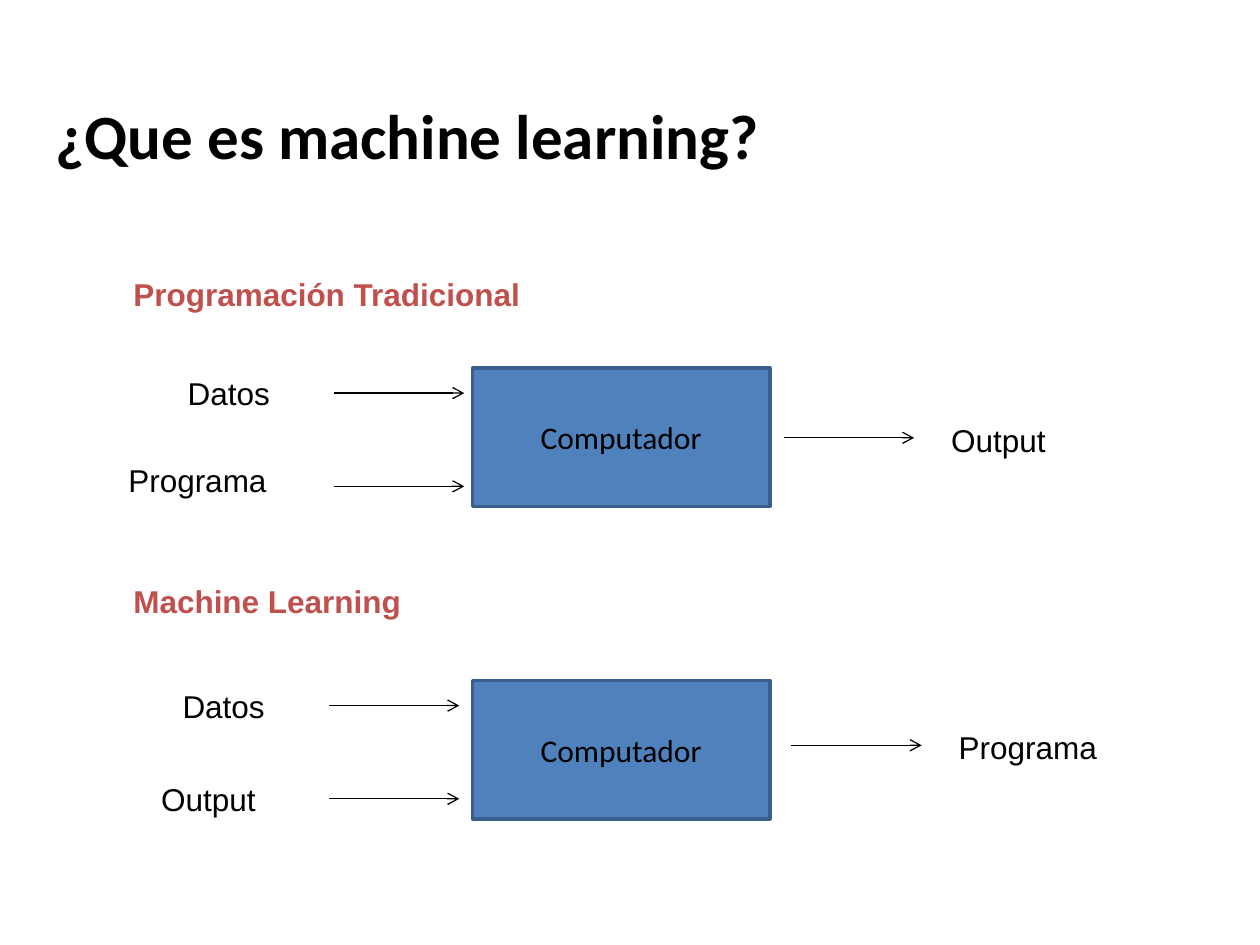
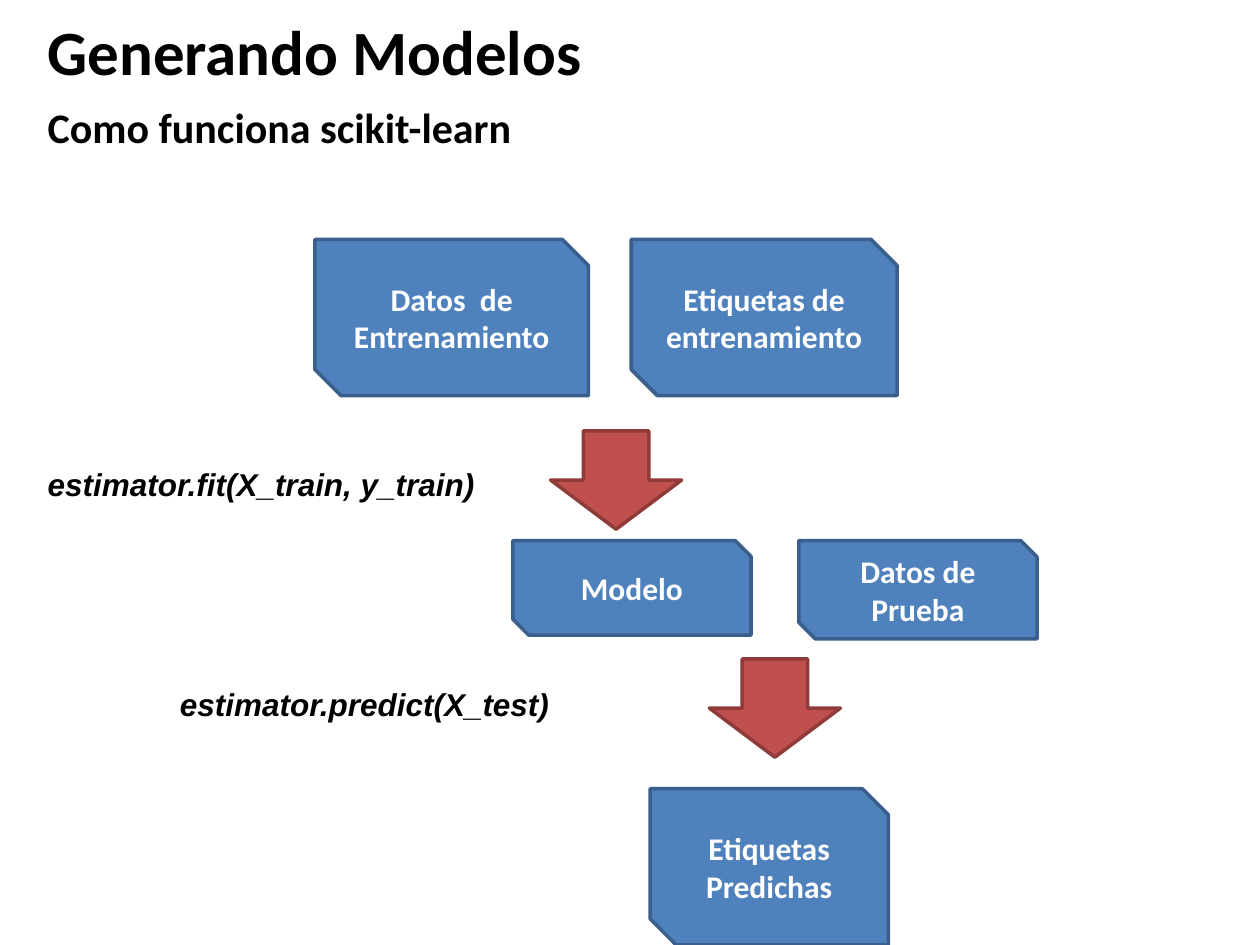
from lxml import etree
from pptx import Presentation
from pptx.dml.color import RGBColor
from pptx.enum.shapes import MSO_CONNECTOR, MSO_SHAPE
from pptx.enum.text import MSO_ANCHOR, MSO_AUTO_SIZE, PP_ALIGN
from pptx.oxml.ns import qn
from pptx.util import Inches, Pt

BLACK = RGBColor(0x00, 0x00, 0x00)
WHITE = RGBColor(0xFF, 0xFF, 0xFF)
BLUE = RGBColor(0x4F, 0x81, 0xBD)
DARK_BLUE = RGBColor(0x3A, 0x5F, 0x8C)
RED = RGBColor(0xC0, 0x50, 0x4D)
DARK_RED = RGBColor(0x8E, 0x3B, 0x39)

RECTANGLE = MSO_SHAPE.RECTANGLE
SNIPPED = MSO_SHAPE.SNIP_2_DIAG_RECTANGLE
DOWN_ARROW = MSO_SHAPE.DOWN_ARROW
STRAIGHT = MSO_CONNECTOR.STRAIGHT
CENTER = PP_ALIGN.CENTER
MIDDLE = MSO_ANCHOR.MIDDLE
GROW = MSO_AUTO_SIZE.SHAPE_TO_FIT_TEXT

COLUMNS, ROWS = 100, 75
HEADING_FONT, BODY_FONT = "Calibri", "Arial"
BODY_SIZE = 18


class Board:
    def __init__(self):
        self.deck = Presentation()
        self.deck.slide_width, self.deck.slide_height = Inches(10), Inches(7.5)
        self.page = None

    def new_page(self):
        self.page = self.deck.slides.add_slide(self.deck.slide_layouts[6])

    def place(self, column, row):
        return (round(self.deck.slide_width * column / COLUMNS),
                round(self.deck.slide_height * row / ROWS))

    def fill_text(self, frame, words, font, size, color, bold=False, italic=False):
        para = frame.paragraphs[0]
        para.text = words
        para.font.name, para.font.size = font, Pt(size)
        para.font.bold, para.font.italic = bold, italic
        para.font.color.rgb = color
        return para

    def text(self, column, row, width, words, height=4, font=BODY_FONT,
             size=BODY_SIZE, color=BLACK, wrap=True, **style):
        box = self.page.shapes.add_textbox(*self.place(column, row),
                                           *self.place(width, height))
        frame = box.text_frame
        frame.word_wrap, frame.auto_size = wrap, GROW
        self.fill_text(frame, words, font, size, color, **style)
        return box

    def title(self, column, row, width, words):
        self.text(column, row, width, words, 7.1, HEADING_FONT, 36,
                  wrap=False, bold=True)

    def subtitle(self, column, row, width, words):
        box = self.text(column, row, width, words, 5, HEADING_FONT, 24, bold=True)
        box.fill.solid()
        box.fill.fore_color.rgb = WHITE

    def shape(self, kind, column, row, width, height, fill, edge):
        shape = self.page.shapes.add_shape(kind, *self.place(column, row),
                                           *self.place(width, height))
        shape.shadow.inherit = False
        shape.fill.solid()
        shape.fill.fore_color.rgb = fill
        shape.line.color.rgb, shape.line.width = edge, Pt(2)
        return shape

    def block(self, kind, column, row, width, height, words, color, bold=False):
        shape = self.shape(kind, column, row, width, height, BLUE, DARK_BLUE)
        frame = shape.text_frame
        frame.word_wrap, frame.vertical_anchor = True, MIDDLE
        para = self.fill_text(frame, words, HEADING_FONT, BODY_SIZE, color, bold)
        para.alignment = CENTER

    def down_arrow(self, column, row):
        self.shape(DOWN_ARROW, column, row, 10.4, 7.8, RED, DARK_RED)

    def arrow(self, column, row, length=10.35):
        line = self.page.shapes.add_connector(
            STRAIGHT, *self.place(column, row), *self.place(column + length, row))
        line.line.color.rgb, line.line.width = BLACK, Pt(0.75)
        properties = line.element.spPr
        etree.SubElement(properties.find(qn("a:ln")), qn("a:tailEnd"), type="arrow")
        etree.SubElement(properties, qn("a:effectLst"))

    def flow(self, top, heading, heading_row, inputs, input_arrow,
             output, output_arrow, output_row):
        self.block(RECTANGLE, 37.5, top, 23.6, 11, "Computador", BLACK)
        self.text(9.6, heading_row, 33.9, heading, color=RED, bold=True)
        for index, (words, column, row, width) in enumerate(inputs):
            self.text(column, row, width, words)
            self.arrow(input_arrow, top + 2 + 7.4 * index)
        self.arrow(output_arrow, output_row + 1.85)
        self.text(output_arrow + 12.3, output_row, 13.8, output)


def machine_learning_page(board):
    board.new_page()
    board.flow(29.2, "Programación Tradicional", 21.3,
               [("Datos", 13.9, 29.2, 10.5), ("Programa", 9.2, 36.1, 13.4)],
               26.5, "Output", 62.2, 32.9)
    board.flow(54, "Machine Learning", 45.7,
               [("Datos", 13.5, 54, 10.5), ("Output", 11.8, 61.4, 11.5)],
               26.1, "Programa", 62.8, 57.3)
    board.title(3.4, 7.2, 58.5, "¿Que es machine learning?")


def models_page(board):
    board.new_page()
    for column, row, width, height, words in (
            (25, 19, 21.7, 12.4, "Datos  de Entrenamiento"),
            (50.1, 19, 21.1, 12.4, "Etiquetas de entrenamiento"),
            (40.7, 42.9, 18.9, 7.5, "Modelo"),
            (63.4, 42.9, 18.9, 7.8, "Datos de Prueba"),
            (51.6, 62.6, 18.9, 12.4, "Etiquetas Predichas")):
        board.block(SNIPPED, column, row, width, height, words, WHITE, bold=True)
    board.down_arrow(43.7, 34.2)
    board.down_arrow(56.3, 52.3)
    for column, row, width, words in (
            (2.8, 36.4, 37.2, "estimator.fit(X_train, y_train)"),
            (13.3, 53.9, 40.3, "estimator.predict(X_test)")):
        board.text(column, row, width, words, bold=True, italic=True)
    board.title(2.8, 0.5, 44.9, "Generando Modelos")
    board.subtitle(2.8, 7.6, 78.9, "Como funciona scikit-learn")


def main():
    board = Board()
    machine_learning_page(board)
    models_page(board)
    board.deck.save("out.pptx")


if __name__ == "__main__":
    main()
